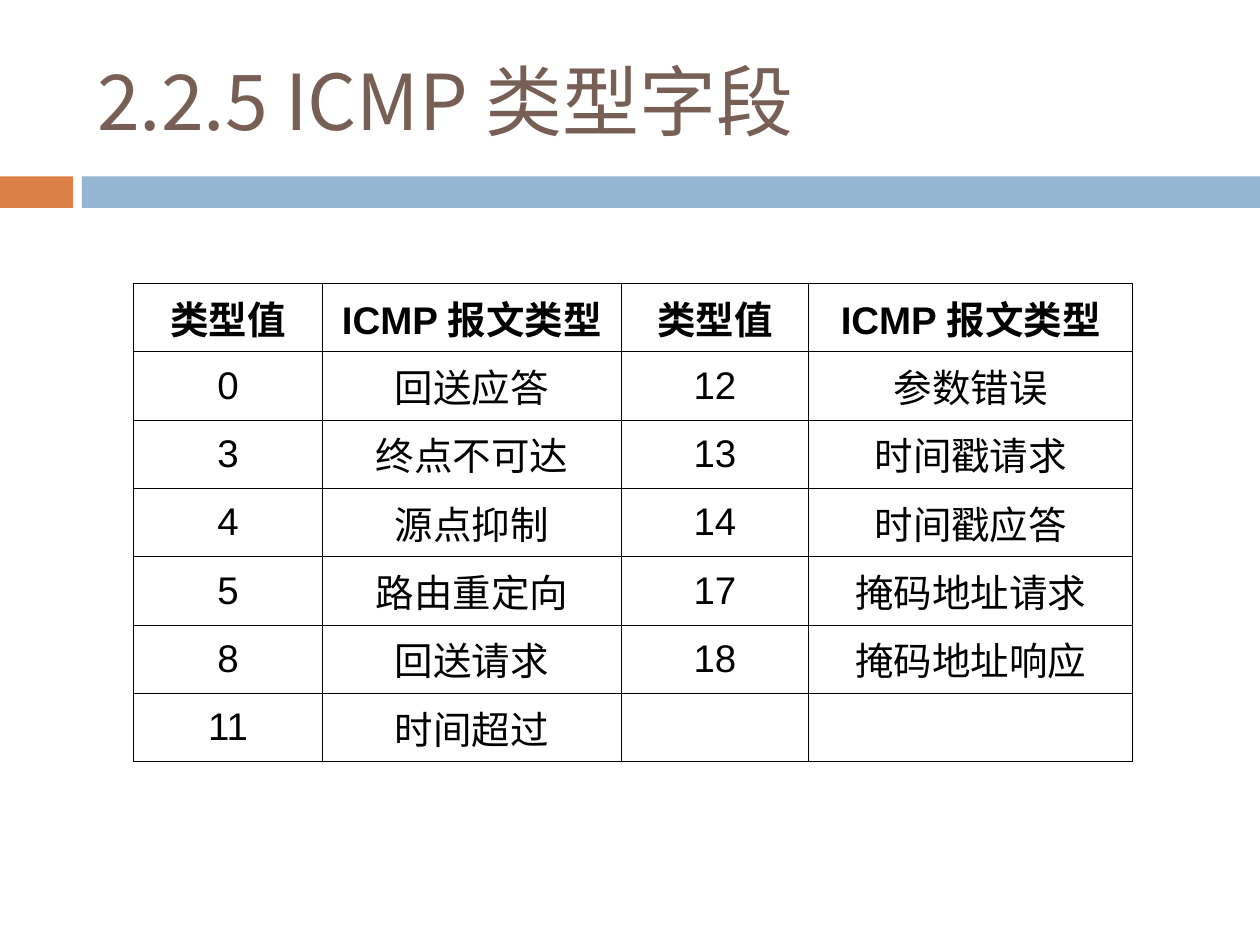
import pptx
import pptx.util
import pptx.dml.color
import pptx.enum.shapes
import pptx.enum.text
import pptx.oxml.ns
from lxml import etree

qn = pptx.oxml.ns.qn
Inches, Pt = pptx.util.Inches, pptx.util.Pt


def rgb(value):
    return pptx.dml.color.RGBColor.from_string(value)


def add_run(p, text, size, font, color, bold=False):
    r = p.add_run()
    r.text = text
    r.font.size = Pt(size)
    r.font.name = font
    r.font.bold = bold
    r.font.color.rgb = rgb(color)


prs = pptx.Presentation()
prs.slide_width, prs.slide_height = Inches(10), Inches(7.5)
s = prs.slides.add_slide(prs.slide_layouts[5])

# Title
title = s.shapes.title
title.left, title.top = Inches(0.67), Inches(0.25)
title.width, title.height = Inches(8.92), Inches(1.08)
tf = title.text_frame
tf.word_wrap = True
tf.vertical_anchor = pptx.enum.text.MSO_ANCHOR.MIDDLE
p = tf.paragraphs[0]
p.alignment = pptx.enum.text.PP_ALIGN.LEFT
add_run(p, "2.2.5 ICMP 类型字段", 44, "Noto Sans CJK SC", "775F55")

# Two-colour band under the title
for left, right, color in [(0, 0.58, "DD8047"), (0.65, 10, "94B6D2")]:
    sp = s.shapes.add_shape(pptx.enum.shapes.MSO_SHAPE.RECTANGLE, Inches(left),
                            Inches(1.4), Inches(right - left), Inches(0.25))
    sp.shadow.inherit = False
    sp.fill.solid()
    sp.fill.fore_color.rgb = rgb(color)
    sp.line.fill.background()

# Table of ICMP types
rows = [
    ["类型值", "ICMP 报文类型"] * 2,
    ["0", "回送应答", "12", "参数错误"],
    ["3", "终点不可达", "13", "时间戳请求"],
    ["4", "源点抑制", "14", "时间戳应答"],
    ["5", "路由重定向", "17", "掩码地址请求"],
    ["8", "回送请求", "18", "掩码地址响应"],
    ["11", "时间超过", "", ""],
]
widths = [1.5, 2.37, 1.49, 2.57]
row_height = 0.47
table = s.shapes.add_table(len(rows), len(widths), Inches(1.06), Inches(2.25),
                           Inches(sum(widths)), Inches(row_height * len(rows))).table
table.first_row = table.horz_banding = False
for column, width in zip(table.columns, widths):
    column.width = Inches(width)

for i, row in enumerate(rows):
    table.rows[i].height = Inches(row_height)
    for j, text in enumerate(row):
        cell = table.cell(i, j)
        cell.vertical_anchor = pptx.enum.text.MSO_ANCHOR.MIDDLE

        # Thin black borders, no fill
        tcPr = cell._tc.get_or_add_tcPr()
        for side in ("a:lnL", "a:lnR", "a:lnT", "a:lnB"):
            ln = etree.SubElement(tcPr, qn(side), w=str(Pt(0.5)))
            fill = etree.SubElement(ln, qn("a:solidFill"))
            etree.SubElement(fill, qn("a:srgbClr"), val="000000")
        cell.fill.background()

        # Centred text with 20% space before
        if text:
            p = cell.text_frame.paragraphs[0]
            p.alignment = pptx.enum.text.PP_ALIGN.CENTER
            before = etree.SubElement(p._p.get_or_add_pPr(), qn("a:spcBef"))
            etree.SubElement(before, qn("a:spcPct"), val="20000")
            add_run(p, text, 22, "Arial", "000000", bold=i == 0)

prs.save("out.pptx")
